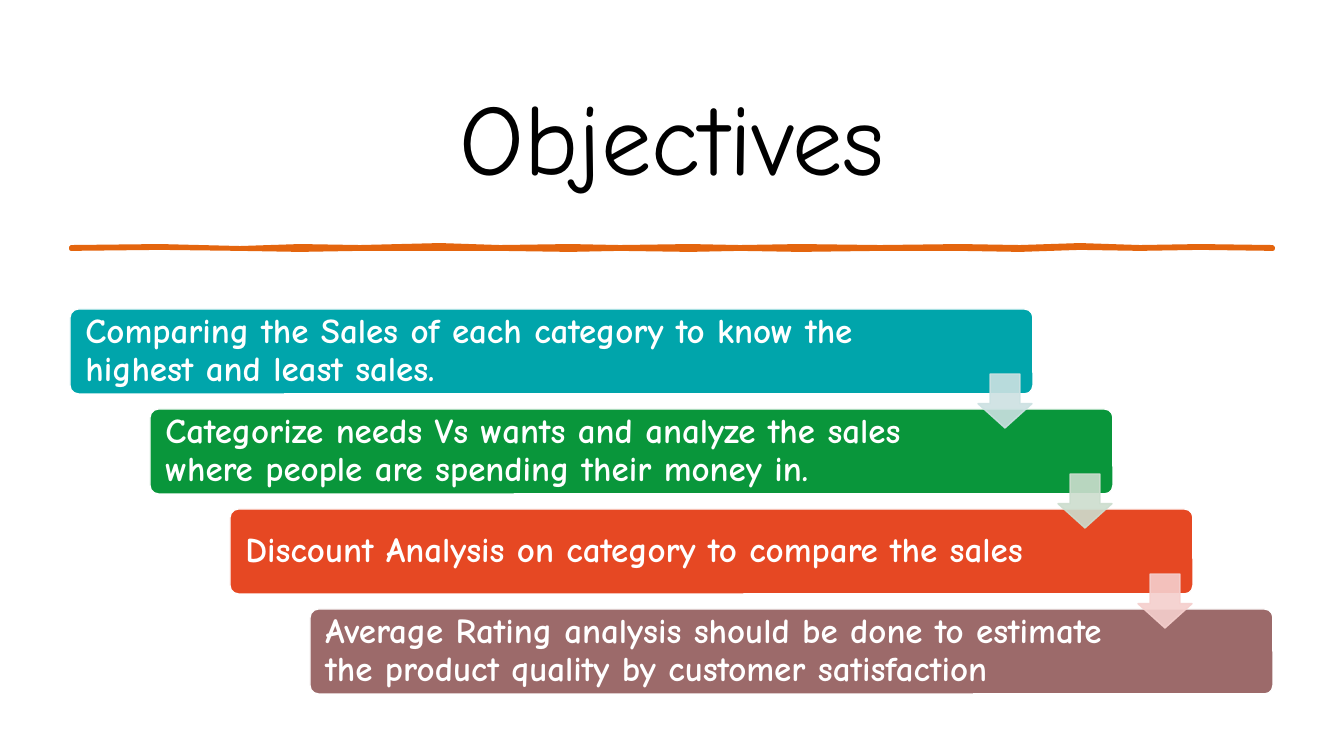
from lxml import etree
from pptx import Presentation
from pptx.dml.color import RGBColor
from pptx.enum.shapes import MSO_SHAPE
from pptx.enum.text import MSO_ANCHOR, PP_ALIGN
from pptx.oxml.ns import qn
from pptx.util import Pt

PX = 914400 / 100.8
FONT = "Comic Neue"
ROUNDED, ARROW = MSO_SHAPE.ROUNDED_RECTANGLE, MSO_SHAPE.DOWN_ARROW
MIDDLE = MSO_ANCHOR.MIDDLE
LEFT, CENTER = PP_ALIGN.LEFT, PP_ALIGN.CENTER
COLORS = {
    "black": "000000", "white": "FFFFFF", "rule": "E4650E",
    "teal": "00A5AB", "green": "09963B", "red": "E64823", "mauve": "9C6A6A",
    "pale teal": "CCE1E2", "pale green": "CCDDCE", "pale red": "F5CFCD",
}


def paint(shape, fill, line, width):
    shape.shadow.inherit = False
    shape.fill.solid()
    shape.fill.fore_color.rgb = RGBColor.from_string(COLORS[fill])
    shape.line.color.rgb = RGBColor.from_string(COLORS[line])
    shape.line.width = Pt(width)


def write(frame, text, size, color, align, bold):
    frame.text = text
    frame.word_wrap = True
    frame.vertical_anchor = MIDDLE
    paragraph = frame.paragraphs[0]
    paragraph.alignment = align
    paragraph.line_spacing = 0.9
    font = paragraph.runs[0].font
    font.name, font.size, font.bold = FONT, Pt(size), bold
    font.color.rgb = RGBColor.from_string(COLORS[color])


prs = Presentation()
prs.slide_width, prs.slide_height = round(1344 * PX), round(756 * PX)
slide = prs.slides.add_slide(prs.slide_layouts[5])

# Title
title = slide.shapes.title
title.left, title.top = round(70 * PX), round(70 * PX)
title.width, title.height = round(1204 * PX), round(145 * PX)
write(title.text_frame, "Objectives", 72, "black", CENTER, False)

# Hand-drawn rule: x, upper edge, lower edge
rule_points = [
    (71, 247, 249), (160, 246, 248), (240, 248, 249), (300, 246, 250),
    (360, 247, 249), (440, 245, 249), (500, 247, 249), (570, 246, 250),
    (620, 247, 249), (690, 246, 250), (740, 247, 249), (800, 246, 250),
    (880, 247, 249), (960, 246, 249), (1020, 247, 250), (1080, 245, 248),
    (1140, 247, 249), (1200, 246, 248), (1273, 247, 249),
]
upper_edge = [(x, upper) for x, upper, lower in rule_points]
lower_edge = [(x, lower) for x, upper, lower in reversed(rule_points)]
outline = slide.shapes.build_freeform(*upper_edge[0], scale=PX)
outline.add_line_segments(upper_edge[1:] + lower_edge, close=True)
paint(outline.convert_to_shape(), "rule", "rule", 2.75)

# Staircase of objectives
STEP_X, STEP_Y = 80, 100
objectives = [
    ("Comparing the Sales of each category to know the highest and least sales.", "teal"),
    ("Categorize needs Vs wants and analyze the sales where people are spending their money in.", "green"),
    ("Discount Analysis on category to compare the sales", "red"),
    ("Average Rating analysis should be done to estimate the product quality by customer satisfaction", "mauve"),
]
for i, (text, color) in enumerate(objectives):
    objective = slide.shapes.add_shape(
        ROUNDED, round((70 + i * STEP_X) * PX), round((309 + i * STEP_Y) * PX),
        round(963 * PX), round(85 * PX))
    objective.adjustments[0] = 0.1
    paint(objective, color, "white", 1)
    frame = objective.text_frame
    frame.margin_left, frame.margin_right = round(13 * PX), round(148 * PX)
    frame.margin_top = frame.margin_bottom = 0
    write(frame, text, 25, "white", LEFT, True)

# Arrows between the steps, slightly transparent
for i, color in enumerate(["pale teal", "pale green", "pale red"]):
    arrow = slide.shapes.add_shape(
        ARROW, round((978 + i * STEP_X) * PX), round((374 + i * STEP_Y) * PX),
        round(54 * PX), round(54 * PX))
    arrow.adjustments[0], arrow.adjustments[1] = 0.55, 0.45
    paint(arrow, color, color, 1)
    for rgb in arrow.element.spPr.iter(qn("a:srgbClr")):
        etree.SubElement(rgb, qn("a:alpha"), val="90000")

prs.save("out.pptx")
